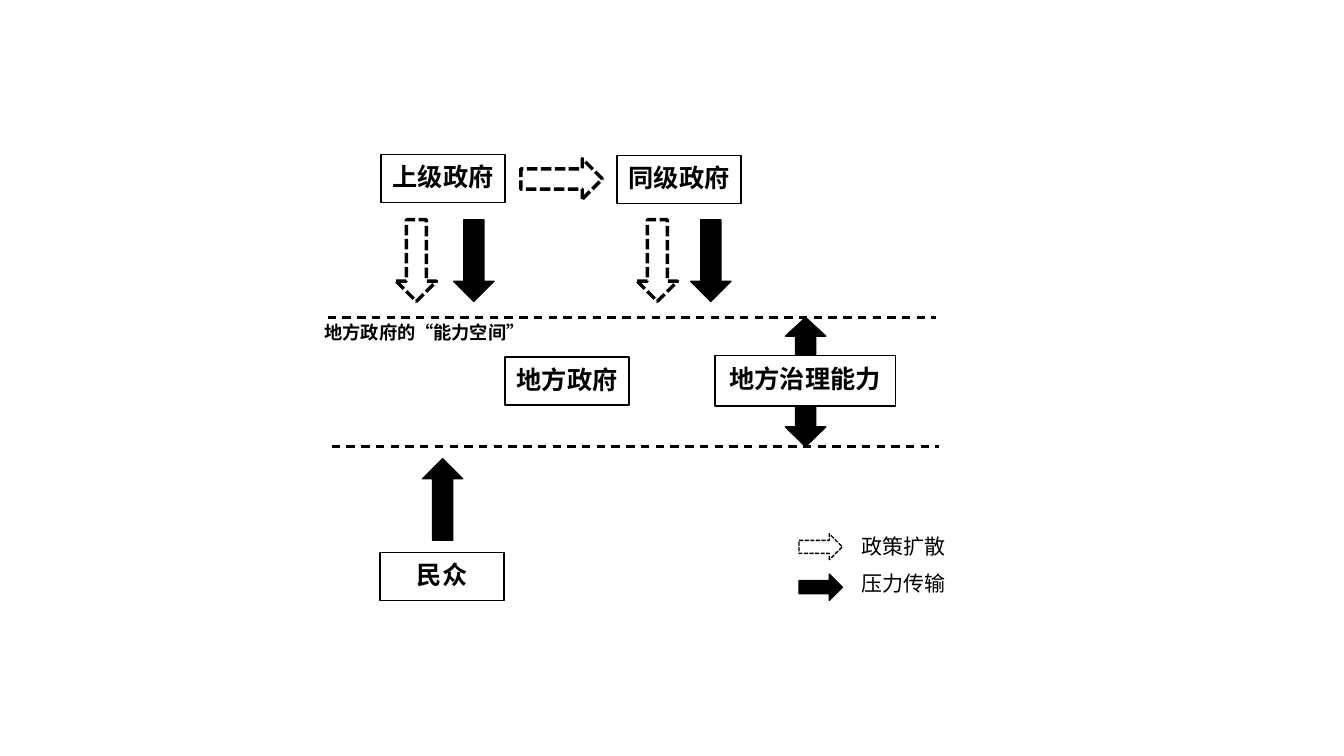
import pptx
import pptx.util
import pptx.dml.color
import pptx.enum.dml
import pptx.enum.shapes
import pptx.enum.text
import pptx.oxml.ns
from lxml import etree

Inches = pptx.util.Inches
Pt = pptx.util.Pt
RGBColor = pptx.dml.color.RGBColor
SHAPE = pptx.enum.shapes.MSO_SHAPE
DASH = pptx.enum.dml.MSO_LINE

BLACK = RGBColor(0, 0, 0)
WHITE = RGBColor(255, 255, 255)
HEADING_FONT = "Noto Sans CJK SC"
LEGEND_FONT = "Lato"
DOWN, UP, RIGHT = 0, 180, 270
ARROW_W, ARROW_H = 0.4, 0.81
NODE_W, NODE_H = 1.23, 0.48


class Diagram:
    """Draws the black-and-white diagram elements on one slide."""

    def __init__(self, s):
        self.s = s

    def set_text(self, tf, text, size, font, bold):
        tf.word_wrap = True
        tf.vertical_anchor = pptx.enum.text.MSO_ANCHOR.TOP
        tf.text = text
        p = tf.paragraphs[0]
        p.alignment = pptx.enum.text.PP_ALIGN.CENTER
        r = p.runs[0]
        r.font.size = Pt(size)
        r.font.bold = bold
        r.font.name = font
        r.font.color.rgb = BLACK
        ea = etree.SubElement(r.font._element, pptx.oxml.ns.qn("a:ea"))
        ea.set("typeface", font)

    def outline(self, line, width, dash=None):
        line.color.rgb = BLACK
        line.width = Pt(width)
        if dash is not None:
            line.dash_style = dash

    def label(self, text, x, y, w, h, size, font=HEADING_FONT, bold=True):
        sp = self.s.shapes.add_textbox(Inches(x), Inches(y), Inches(w), Inches(h))
        self.set_text(sp.text_frame, text, size, font, bold)

    def node(self, text, x, y, w=NODE_W, h=NODE_H):
        sp = self.s.shapes.add_shape(SHAPE.RECTANGLE, Inches(x), Inches(y), Inches(w), Inches(h))
        sp.shadow.inherit = False
        sp.fill.background()
        self.outline(sp.line, 1)
        tf = sp.text_frame
        tf.margin_left = tf.margin_right = tf.margin_bottom = 0
        tf.margin_top = Inches(0.07)
        self.set_text(tf, text, 18, HEADING_FONT, True)

    def arrow(self, x, y, w=ARROW_W, h=ARROW_H, turn=DOWN, fill=BLACK, width=1, dash=None):
        sp = self.s.shapes.add_shape(SHAPE.DOWN_ARROW, Inches(x), Inches(y), Inches(w), Inches(h))
        sp.shadow.inherit = False
        sp.rotation = turn
        sp.fill.solid()
        sp.fill.fore_color.rgb = fill
        self.outline(sp.line, width, dash)

    def diffusion(self, x, y, w=ARROW_W, h=ARROW_H, turn=DOWN, width=2.5):
        self.arrow(x, y, w, h, turn, WHITE, width, DASH.SQUARE_DOT)

    def boundary(self, x1, x2, y):
        line = self.s.shapes.add_connector(
            pptx.enum.shapes.MSO_CONNECTOR.STRAIGHT, Inches(x1), Inches(y), Inches(x2), Inches(y))
        self.outline(line.line, 1.5, DASH.DASH)
        etree.SubElement(line._element.spPr, pptx.oxml.ns.qn("a:effectLst"))


prs = pptx.Presentation()
prs.slide_width = Inches(13.33)
prs.slide_height = Inches(7.5)
d = Diagram(prs.slides.add_slide(prs.slide_layouts[6]))

d.boundary(3.25, 9.28, 3.15)
d.boundary(3.29, 9.31, 4.43)
d.label("地方政府的“能力空间”", 2.79, 3.14, 2.84, 0.32, 13)

for text, x, y in (("地方政府", 5.01, 3.54), ("上级政府", 3.78, 1.53),
                   ("民众", 3.77, 5.48), ("同级政府", 6.12, 1.54)):
    d.node(text, x, y)
d.node("地方治理能力", 7.09, 3.53, 1.79, 0.5)

d.arrow(4.19, 4.55, turn=UP)
for x in (4.5, 6.85):
    d.arrow(x, 2.18)
d.arrow(7.79, 3.15, h=0.37, turn=UP)
d.arrow(7.79, 4.04, h=0.39)

for x in (3.93, 6.32):
    d.diffusion(x, 2.18)
d.diffusion(5.37, 1.37, turn=RIGHT)

d.diffusion(8.01, 5.21, 0.26, 0.43, RIGHT, 1)
d.arrow(8.01, 5.61, 0.26, 0.43, RIGHT)
for text, y in (("政策扩散", 5.24), ("压力传输", 5.61)):
    d.label(text, 8.35, y, NODE_W, 0.35, 15, LEGEND_FONT, False)

prs.save("out.pptx")
